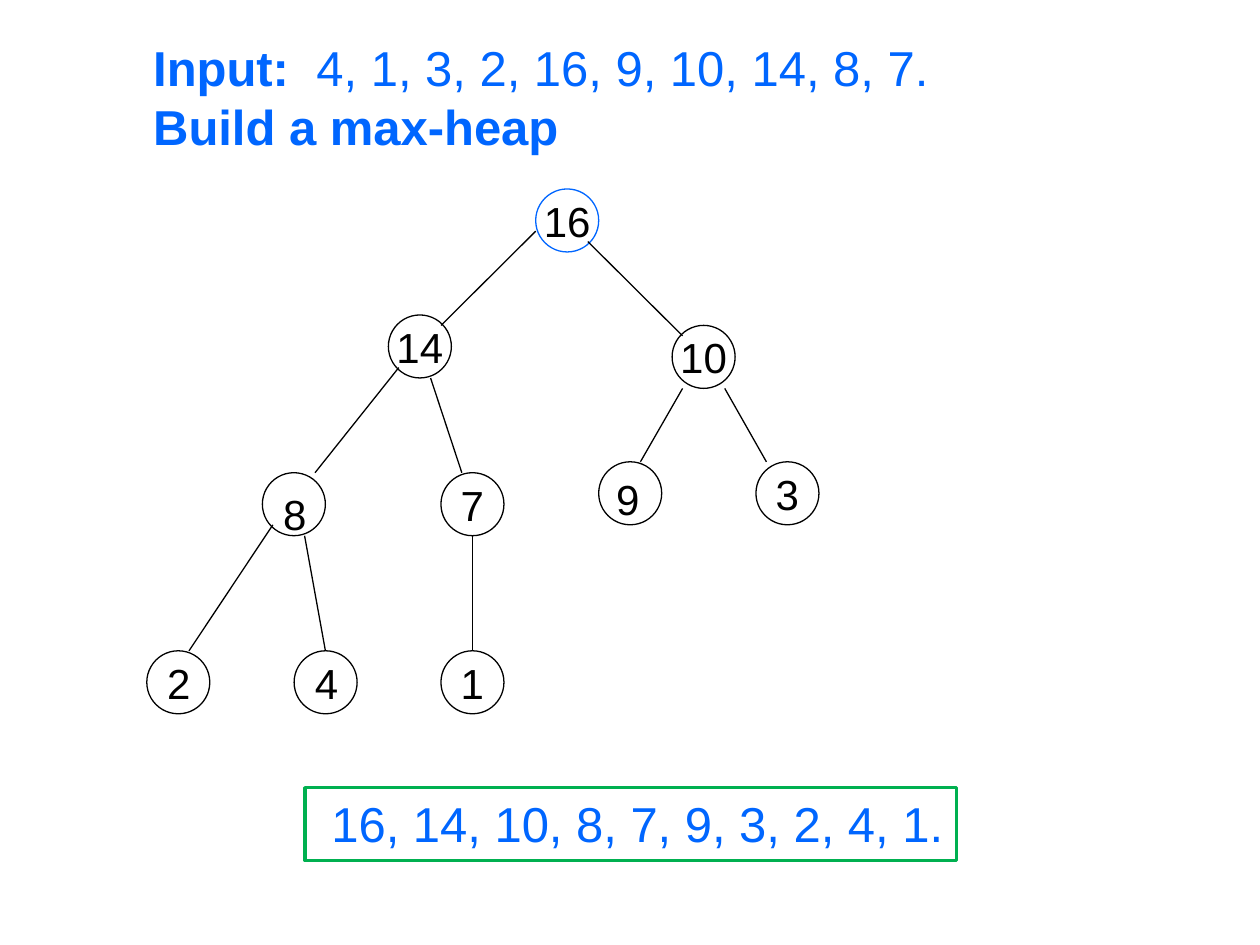
from lxml.etree import SubElement
from pptx import Presentation
from pptx.dml.color import RGBColor
from pptx.enum.shapes import MSO_CONNECTOR, MSO_SHAPE
from pptx.enum.text import MSO_ANCHOR, PP_ALIGN
from pptx.oxml.ns import qn
from pptx.util import Cm, Pt

BLUE, BLACK, GREEN = "0066FF", "000000", "00B050"
NODE_SIZE = 1.27
LABEL_SIZE = (0.97, 1.27)
INPUT_TAB = 3.29

NODES = [
    ("16", 10.8, 3.81, BLUE),
    ("14", 7.83, 6.35, BLACK),
    ("10", 13.55, 6.56, BLACK),
    ("", 5.29, 9.53, BLACK),
    ("7", 8.89, 9.53, BLACK),
    ("", 12.07, 9.31, BLACK),
    ("3", 15.24, 9.31, BLACK),
    ("", 2.96, 13.12, BLACK),
    ("", 5.93, 13.12, BLACK),
    ("1", 8.89, 13.12, BLACK),
]
LABELS = [("8", 5.46, 9.73), ("9", 12.17, 9.42), ("2", 3.12, 13.13), ("4", 6.1, 13.13)]
EDGES = [
    (10.8, 4.66, 8.89, 6.56),
    (11.85, 4.87, 13.76, 6.77),
    (8.04, 7.41, 6.35, 9.53),
    (8.68, 7.62, 9.31, 9.53),
    (13.76, 7.83, 12.91, 9.31),
    (14.61, 7.83, 15.45, 9.31),
    (5.5, 10.58, 3.81, 13.12),
    (6.14, 10.8, 6.56, 13.12),
    (9.53, 10.8, 9.53, 13.12),
]
TASK = [
    [("Input:", True), ("\t4, 1, 3, 2, 16, 9, 10, 14, 8, 7.", False)],
    [("Build a max-heap", True)],
]
TASK_PLACE = (2.84, 0.64, 16.13, 2.64)
ANSWER = "16, 14, 10, 8, 7, 9, 3, 2, 4, 1."
ANSWER_PLACE = (6.43, 15.88, 12.85, 1.45)
FRAME_PLACE = (6.15, 15.88, 13.13, 1.47)


def color(value):
    return RGBColor.from_string(value)


def lengths(values):
    return [Cm(value) for value in values]


def set_line(item, value, width):
    item.line.color.rgb = color(value)
    item.line.width = Pt(width)


def add_span(para, text, size, value, bold=False):
    span = para.add_run()
    span.text = text
    style = {"name": "Arial", "size": Pt(size), "bold": bold}
    for name, setting in style.items():
        setattr(span.font, name, setting)
    span.font.color.rgb = color(value)


def add_outline(page, kind, place, value, width):
    shape = page.shapes.add_shape(kind, *lengths(place))
    shape.shadow.inherit = False
    shape.fill.background()
    set_line(shape, value, width)
    return shape


def add_text(page, place, paragraphs, size, value):
    box = page.shapes.add_textbox(*lengths(place))
    frame = box.text_frame
    frame.word_wrap = False
    for index, spans in enumerate(paragraphs):
        para = frame.add_paragraph() if index else frame.paragraphs[0]
        para.alignment = PP_ALIGN.LEFT
        for text, bold in spans:
            if text.startswith("\t"):
                tabs = SubElement(para._p.get_or_add_pPr(), qn("a:tabLst"))
                SubElement(tabs, qn("a:tab"), pos=str(Cm(INPUT_TAB)), algn="l")
            add_span(para, text, size, value, bold)


def add_node(page, text, left, top, value):
    place = (left, top, NODE_SIZE, NODE_SIZE)
    node = add_outline(page, MSO_SHAPE.OVAL, place, value, 0.75)
    if text:
        frame = node.text_frame
        frame.word_wrap = False
        frame.vertical_anchor = MSO_ANCHOR.MIDDLE
        para = frame.paragraphs[0]
        para.alignment = PP_ALIGN.CENTER
        add_span(para, text, 24, BLACK)


def add_edge(page, ends):
    edge = page.shapes.add_connector(MSO_CONNECTOR.STRAIGHT, *lengths(ends))
    set_line(edge, BLACK, 0.75)
    SubElement(edge._element.spPr, qn("a:effectLst"))


def main():
    deck = Presentation()
    deck.slide_width, deck.slide_height = Cm(25.4), Cm(19.05)
    page = deck.slides.add_slide(deck.slide_layouts[6])
    for node in NODES:
        add_node(page, *node)
    for text, left, top in LABELS:
        add_text(page, (left, top, *LABEL_SIZE), [[(text, False)]], 24, BLACK)
    for ends in EDGES:
        add_edge(page, ends)
    add_text(page, TASK_PLACE, TASK, 28, BLUE)
    add_text(page, ANSWER_PLACE, [[(ANSWER, False)]], 28, BLUE)
    add_outline(page, MSO_SHAPE.RECTANGLE, FRAME_PLACE, GREEN, 2)
    deck.save("out.pptx")


if __name__ == "__main__":
    main()
